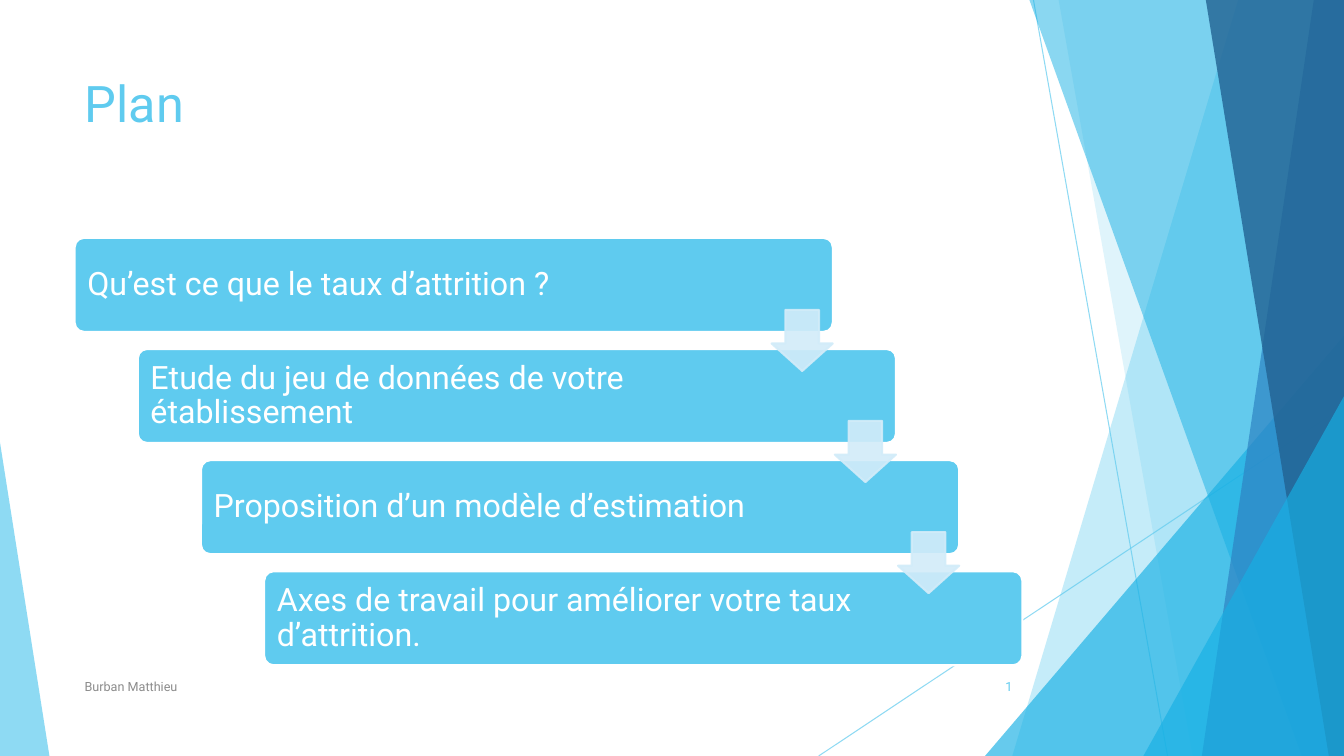
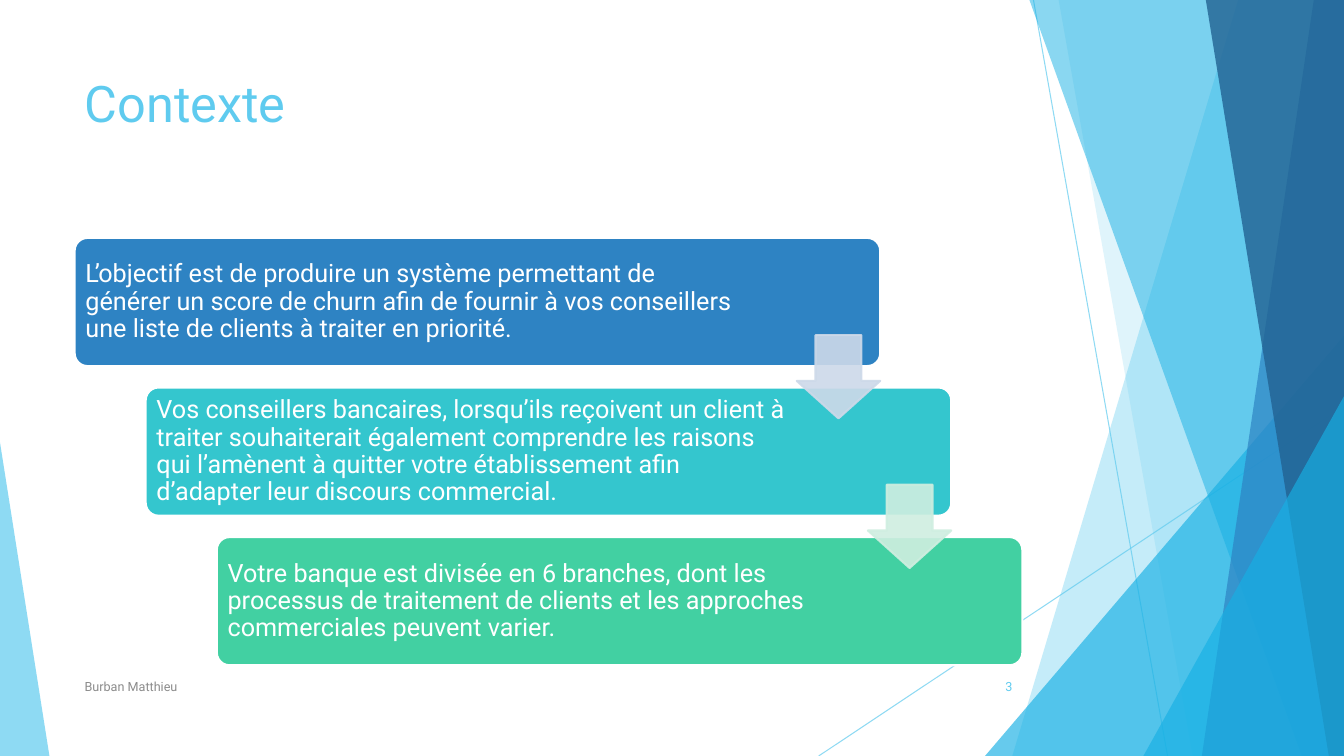
import pptx
import pptx.dml.color
import pptx.enum.shapes
import pptx.enum.text
import pptx.oxml.ns
import pptx.util
from lxml import etree
from pptx.util import Inches

# Shared look
FONT = "Roboto"
SKY, CYAN, BLUE, NAVY = "5FCBEF", "17B0E4", "2E83C3", "226292"
TEAL, GREEN, WHITE, GREY = "34C6CE", "42D0A2", "FFFFFF", "8C8C8C"
PALE_SKY, PALE_BLUE, PALE_GREEN = "D2ECF9", "CDD9E9", "CFEEE0"
SLIDE_W, SLIDE_H = 13.33, 7.5
LEFT, CONTENT_W = 0.74, 9.4
STAIRS_TOP, STAIRS_H = 2.36, 4.24
AUTHOR = "Burban Matthieu"

PRESET = pptx.enum.shapes.MSO_SHAPE
ALIGN = pptx.enum.text.PP_ALIGN
ANCHOR = pptx.enum.text.MSO_ANCHOR


def rgb(hex_color):
    return pptx.dml.color.RGBColor.from_string(hex_color)


def set_opacity(shape, percent):
    """Apply one opacity to the fill and line of a shape."""
    for color in shape.element.xpath(".//a:srgbClr"):
        alpha = etree.SubElement(color, pptx.oxml.ns.qn("a:alpha"))
        alpha.set("val", str(percent * 1000))


def paint(shape, fill, line=None, opacity=100):
    shape.shadow.inherit = False
    shape.fill.solid()
    shape.fill.fore_color.rgb = rgb(fill)
    if line:
        shape.line.color.rgb = rgb(line)
        shape.line.width = pptx.util.Pt(1.5)
    else:
        shape.line.fill.background()
    if opacity < 100:
        set_opacity(shape, opacity)


def add_preset(slide, preset, box, adjustments):
    shape = slide.shapes.add_shape(preset, *map(Inches, box))
    for index, value in enumerate(adjustments):
        shape.adjustments[index] = value
    return shape


def write(frame, text, size, color, align=ALIGN.LEFT, anchor=ANCHOR.MIDDLE):
    frame.text = text
    frame.word_wrap = True
    frame.vertical_anchor = anchor
    paragraph = frame.paragraphs[0]
    paragraph.alignment = align
    for run in paragraph.runs:
        run.font.name = FONT
        run.font.size = pptx.util.Pt(size)
        run.font.color.rgb = rgb(color)
    return paragraph


# Background facets
def add_thin_line(slide, start, end):
    line = slide.shapes.add_connector(
        pptx.enum.shapes.MSO_CONNECTOR.STRAIGHT, *map(Inches, start + end))
    line.line.color.rgb = rgb(SKY)
    line.line.width = pptx.util.Pt(0.75)
    set_opacity(line, 70)
    etree.SubElement(line.element.spPr, pptx.oxml.ns.qn("a:effectLst"))


def add_pane(slide, top_x, bottom_x, color, opacity):
    """Full-height pane from a slanted left side to the right slide edge."""
    builder = slide.shapes.build_freeform(Inches(top_x), 0)
    corners = [(SLIDE_W, 0), (SLIDE_W, SLIDE_H), (bottom_x, SLIDE_H)]
    builder.add_line_segments([(Inches(x), Inches(y)) for x, y in corners])
    paint(builder.convert_to_shape(), color, opacity=opacity)


def add_corner(slide, left, top, width, apex, color, opacity):
    """Right-angled triangle standing on the bottom edge of the slide."""
    box = (left, top, width, SLIDE_H - top)
    triangle = add_preset(slide, PRESET.ISOSCELES_TRIANGLE, box, [apex])
    paint(triangle, color, opacity=opacity)


def draw_facets(slide):
    add_thin_line(slide, (10.25, 0), (11.58, SLIDE_H))
    add_thin_line(slide, (SLIDE_W, 4.03), (8.12, SLIDE_H))
    add_pane(slide, 12.28, 10.04, SKY, 36)
    add_pane(slide, 10.5, 11.83, SKY, 20)
    add_corner(slide, 9.77, 3.33, 3.56, 1, CYAN, 66)
    add_pane(slide, 10.21, 12.91, CYAN, 50)
    add_pane(slide, 13.03, 11.92, BLUE, 70)
    add_pane(slide, 11.96, 13.18, NAVY, 80)
    add_corner(slide, 11.34, 3.93, 1.99, 1, CYAN, 66)
    add_corner(slide, 0, 4.39, 0.49, 0, SKY, 70)


def move_facets_to_layout(slide, layout):
    """Let every slide of the layout inherit the facets, behind its text."""
    tree = layout.element.cSld.spTree
    facets = [s for s in slide.shapes if not s.is_placeholder]
    for index, facet in enumerate(facets):
        facet.element.xpath(".//p:cNvPr")[0].set("id", str(100 + index))
        tree.insert(2 + index, facet.element)


def place_title(layout):
    title = layout.placeholders[0]
    title.left, title.top = Inches(LEFT), Inches(0.67)
    title.width, title.height = Inches(CONTENT_W), Inches(1.44)


# Slide content
def add_footer(slide, left, width, text, color, align):
    box = slide.shapes.add_textbox(
        Inches(left), Inches(6.61), Inches(width), Inches(0.4))
    write(box.text_frame, text, 9, color, align)


def add_frame(slide, title, number):
    write(slide.shapes.title.text_frame, title, 36, SKY, anchor=ANCHOR.TOP)
    add_footer(slide, LEFT, 6.89, AUTHOR, GREY, ALIGN.LEFT)
    add_footer(slide, 9.39, 0.75, number, SKY, ALIGN.RIGHT)


def add_step(slide, box, text, color, size, inset, right_inset):
    step = add_preset(slide, PRESET.ROUNDED_RECTANGLE, box, [0.1])
    paint(step, color, WHITE)
    frame = step.text_frame
    write(frame, text, size, WHITE).line_spacing = 0.9
    frame.margin_left = frame.margin_top = frame.margin_bottom = Inches(inset)
    frame.margin_right = Inches(right_inset)


def add_stairs(slide, texts, step_colors, arrow_colors, width_share,
               height_share, size, inset, right_insets):
    """Steps descending to the right, with an arrow across each gap."""
    width, height = CONTENT_W * width_share, STAIRS_H * height_share
    gaps = len(texts) - 1
    dx, dy = (CONTENT_W - width) / gaps, (STAIRS_H - height) / gaps
    for i, (text, color) in enumerate(zip(texts, step_colors)):
        box = (LEFT + i * dx, STAIRS_TOP + i * dy, width, height)
        add_step(slide, box, text, color, size, inset, right_insets[i > 0])

    arrow_size = 0.65 * height
    for i, color in enumerate(arrow_colors):
        gap_middle = STAIRS_TOP + i * dy + (height + dy) / 2
        box = (LEFT + i * dx + width - arrow_size,
               gap_middle - arrow_size / 2, arrow_size, arrow_size)
        arrow = add_preset(slide, PRESET.DOWN_ARROW, box, [0.55, 0.45])
        paint(arrow, color, color, 90)


def build_plan(slide):
    add_frame(slide, "Plan", "1")
    texts = [
        "Qu’est ce que le taux d’attrition ?",
        "Etude du jeu de données de votre établissement",
        "Proposition d’un modèle d’estimation",
        "Axes de travail pour améliorer votre taux d’attrition.",
    ]
    add_stairs(slide, texts, [SKY] * 4, [PALE_SKY] * 3, 0.8, 0.22,
               size=23, inset=0.1, right_insets=(1.13, 1.33))


def build_context(slide):
    add_frame(slide, "Contexte", "3")
    texts = [
        "L’objectif est de produire un système permettant de générer un "
        "score de churn afin de fournir à vos conseillers une liste de "
        "clients à traiter en priorité.",
        "Vos conseillers bancaires, lorsqu’ils reçoivent un client à traiter "
        "souhaiterait également comprendre les raisons qui l’amènent à "
        "quitter votre établissement afin d’adapter leur discours "
        "commercial.",
        "Votre banque est divisée en 6 branches, dont les processus de "
        "traitement de clients et les approches commerciales peuvent varier.",
    ]
    add_stairs(slide, texts, [BLUE, TEAL, GREEN], [PALE_BLUE, PALE_GREEN],
               0.85, 0.3, size=18, inset=0.07, right_insets=(1.36, 1.6))


def main():
    deck = pptx.Presentation()
    deck.slide_width, deck.slide_height = Inches(SLIDE_W), Inches(SLIDE_H)
    layout = deck.slide_layouts[5]
    place_title(layout)
    plan, context = (deck.slides.add_slide(layout) for _ in range(2))
    draw_facets(plan)
    move_facets_to_layout(plan, layout)
    build_plan(plan)
    build_context(context)
    deck.save("out.pptx")


if __name__ == "__main__":
    main()
